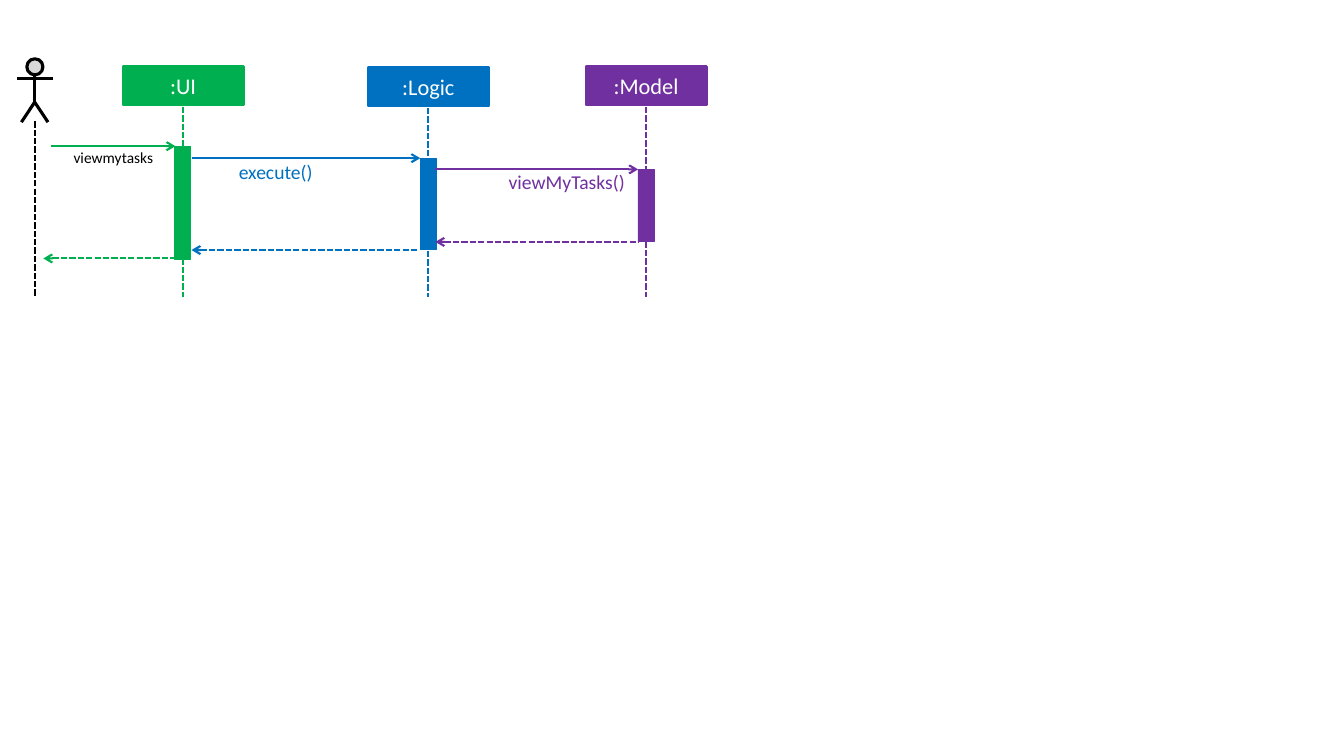
"""Build a sequence diagram of the viewmytasks command."""
from pptx import Presentation
from pptx.dml.color import RGBColor
from pptx.enum.dml import MSO_LINE
from pptx.enum.shapes import MSO_CONNECTOR, MSO_SHAPE
from pptx.enum.text import MSO_ANCHOR, MSO_AUTO_SIZE, PP_ALIGN
from pptx.oxml.ns import qn
from pptx.util import Pt
from lxml import etree

DASH = MSO_LINE.SQUARE_DOT
STRAIGHT = MSO_CONNECTOR.STRAIGHT
RECT, ROUND = MSO_SHAPE.RECTANGLE, MSO_SHAPE.FLOWCHART_CONNECTOR
MIDDLE, FIT = MSO_ANCHOR.MIDDLE, MSO_AUTO_SIZE.SHAPE_TO_FIT_TEXT
LEFT, CENTER, RIGHT = PP_ALIGN.LEFT, PP_ALIGN.CENTER, PP_ALIGN.RIGHT
COLORS = {"ui": "00B050", "logic": "0070C0", "model": "7030A0",
          "black": "000000", "gray": "D9D9D9", "white": "FFFFFF"}
RGB = {name: RGBColor.from_string(code) for name, code in COLORS.items()}


def add_line(parent, start, end, color, width=1.5, dash=None, arrow=None):
    line = parent.add_connector(STRAIGHT, *map(Pt, start + end))
    line.line.color.rgb = RGB[color]
    line.line.width = Pt(width)
    if dash:
        line.line.dash_style = dash
    if arrow:
        etree.SubElement(line.line._get_or_add_ln(), qn(arrow), type="arrow")
    etree.SubElement(line._element.spPr, qn("a:effectLst"))


def add_box(parent, kind, place, fill, edge, width):
    box = parent.add_shape(kind, *map(Pt, place))
    box.shadow.inherit = False
    box.fill.solid()
    box.fill.fore_color.rgb = RGB[fill]
    box.line.color.rgb = RGB[edge]
    box.line.width = Pt(width)
    return box


deck = Presentation()
deck.slide_width, deck.slide_height = Pt(960), Pt(540)
slide = deck.slides.add_slide(deck.slide_layouts[6])
shapes = slide.shapes

actor = shapes.add_group_shape().shapes
add_box(actor, ROUND, (19.2, 42, 11.5, 11.5), "gray", "black", 2.25)
add_line(actor, (24.8, 53.3), (24.8, 73.4), "black", 2.25)
pen = actor.build_freeform(Pt(15.3), Pt(87.3))
pen.add_line_segments([(Pt(24.8), Pt(73)), (Pt(34.3), Pt(87.3))], close=False)
legs = pen.convert_to_shape()
legs.shadow.inherit = False
legs.fill.background()
legs.line.color.rgb = RGB["black"]
legs.line.width = Pt(2.25)
add_line(actor, (12.2, 56), (37.8, 56), "black", 2.25)
add_line(shapes, (24.8, 86.6), (24.8, 212.4), "black", dash=DASH)

roles = [(":UI", "ui", 87.6, 47.5, 130.5, 104.4, 80.6),
         (":Logic", "logic", 262.8, 48.2, 306, 113, 65.5),
         (":Model", "model", 418.3, 47.5, 461.5, 121, 51.4)]
for name, color, left, top, mid, start, tall in roles:
    box = add_box(shapes, RECT, (left, top, 86.4, 27.4), color, color, 1.5)
    box.text_frame.vertical_anchor = MIDDLE
    para = box.text_frame.paragraphs[0]
    para.text = name
    para.alignment = CENTER
    para.font.size, para.font.name = Pt(16), "Calibri"
    para.font.color.rgb = RGB["white"]
    add_line(shapes, (mid, top + 28.8), (mid, 212.4), color, dash=DASH)
    add_box(shapes, RECT, (mid - 5.8, start, 11.6, tall), color, color, 0.5)

calls = [("ui", 36.7, 125.3, 104.4, 31, 125.3, 184.6),
         ("logic", 136.8, 300.2, 113, 136.8, 298.8, 178.6),
         ("model", 311, 455.8, 121, 311, 455.8, 172.8)]
for color, left, right, high, back, source, low in calls:
    add_line(shapes, (left, high), (right, high), color, arrow="a:tailEnd")
    add_line(shapes, (back, low), (source, low), color,
             dash=DASH, arrow="a:headEnd")

labels = [("viewmytasks", 36.7, 105.8, 72.7, 13.5, 11, "black", RIGHT),
          ("execute()", 170.6, 114.5, 112.3, 17, 14, "logic", LEFT),
          ("viewMyTasks()", 334, 121.2, 112.3, 17, 14, "model", RIGHT)]
for words, left, top, wide, tall, size, color, align in labels:
    label = shapes.add_textbox(Pt(left), Pt(top), Pt(wide), Pt(tall))
    frame = label.text_frame
    frame.margin_left = frame.margin_right = 0
    frame.margin_top = frame.margin_bottom = 0
    frame.word_wrap, frame.auto_size = True, FIT
    para = frame.paragraphs[0]
    para.text = words
    para.alignment = align
    para.font.size, para.font.name = Pt(size), "Calibri"
    para.font.color.rgb = RGB[color]

deck.save("out.pptx")
